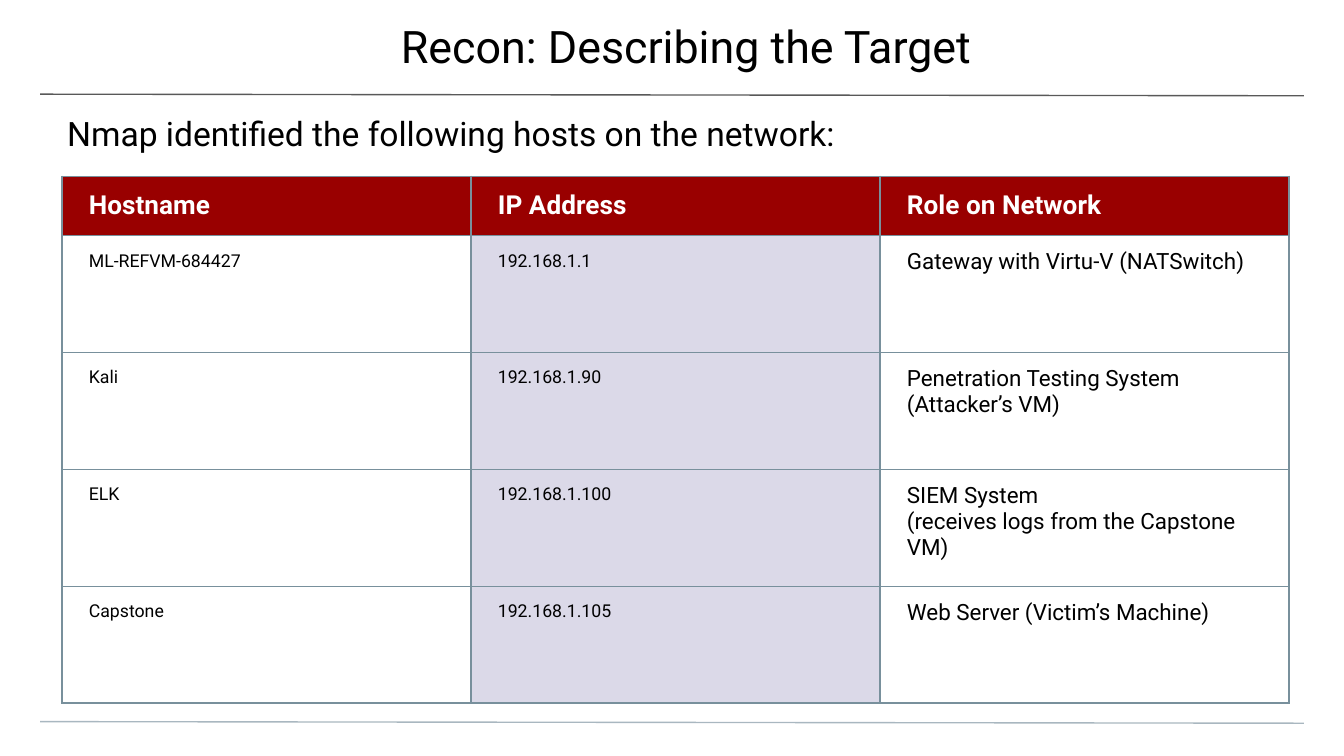
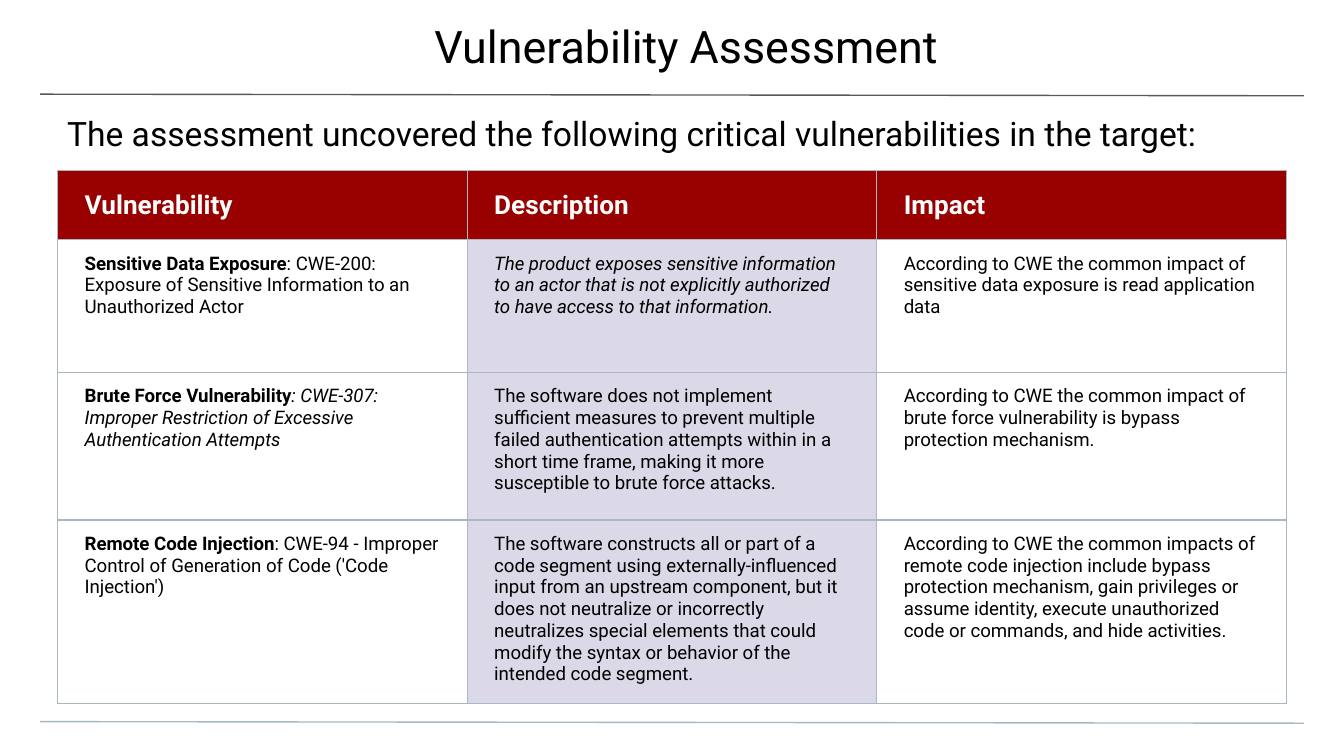
from pptx import Presentation
from pptx.dml.color import RGBColor
from pptx.enum.text import MSO_ANCHOR, PP_ALIGN
from pptx.oxml import parse_xml
from pptx.oxml.ns import nsdecls
from pptx.util import Cm, Pt

COLORS = {
    "text": "000000",
    "header_text": "FFFFFF",
    "header": "990000",
    "middle": "DBD9E8",
    "title_rule": "595959",
    "footer_rule": "A9B7C0",
    "host_border": "78909C",
    "vuln_border": "A9B7C0",
}
FONT = "Roboto"
RULES = [("title_rule", 1.78), ("footer_rule", 13.64)]

TEXT_BOXES = {
    "title": {
        "at": (-0.03, 0, 25.48, 1.47),
        "frame": {
            "margin_left": Cm(1.27), "margin_top": Cm(0.51),
            "margin_right": Cm(0.76), "margin_bottom": Cm(0.25),
            "vertical_anchor": MSO_ANCHOR.MIDDLE,
        },
        "size": 24,
        "para": {"alignment": PP_ALIGN.CENTER},
    },
    "subtitle": {
        "at": (0, 1.88, 25.4, 1.02),
        "frame": {
            "margin_left": Cm(1.27), "margin_top": Cm(0.25),
            "margin_right": Cm(1.27), "margin_bottom": Cm(0),
            "vertical_anchor": MSO_ANCHOR.TOP,
        },
        "size": 18,
        "para": {},
    },
}
CELL_MARGINS = {
    "margin_left": Cm(0.51), "margin_right": Cm(0.51),
    "margin_top": Cm(0.25), "margin_bottom": Cm(0.25),
}

HOST_STYLE = (9.5, {"line_spacing": 1.1})
SLIDES = [
    {
        "title": "Recon: Describing the Target",
        "subtitle": "Nmap identified the following hosts on the network:",
        "at": (1.17, 3.33),
        "col_width": 7.73,
        "row_heights": [1.12] + [2.21] * 4,
        "border": "host_border",
        "columns": [
            (9.5, {"line_spacing": 1.1, "space_after": Pt(10)}),
            (9.5, {"line_spacing": 1.1}),
            (12, {}),
        ],
        "header": ["Hostname", "IP Address", "Role on Network"],
        "rows": [
            ["ML-REFVM-684427", "192.168.1.1", "Gateway with Virtu-V (NATSwitch)"],
            ["Kali", "192.168.1.90", "Penetration Testing System\n(Attacker’s VM)"],
            ["ELK", "192.168.1.100",
             "SIEM System\n(receives logs from the Capstone VM)"],
            ["Capstone", "192.168.1.105", "Web Server (Victim’s Machine)"],
        ],
    },
    {
        "title": "Vulnerability Assessment",
        "subtitle": "The assessment uncovered the following critical "
                    "vulnerabilities in the target:",
        "at": (1.09, 3.23),
        "col_width": 7.74,
        "row_heights": [1.3, 2.51, 2.79, 3.23],
        "border": "vuln_border",
        "columns": [(10, {})] * 3,
        "header": ["Vulnerability", "Description", "Impact"],
        "rows": [
            [
                [("Sensitive Data Exposure", "b"),
                 (": CWE-200: Exposure of Sensitive Information to an "
                  "Unauthorized Actor", "")],
                [("The product exposes sensitive information to an actor that is "
                  "not explicitly authorized to have access to that "
                  "information.", "i")],
                "According to CWE the common impact of sensitive data exposure is "
                "read application data",
            ],
            [
                [("Brute Force Vulnerability", "b"),
                 (": CWE-307: Improper Restriction of Excessive Authentication "
                  "Attempts", "i")],
                "The software does not implement sufficient measures to prevent "
                "multiple failed authentication attempts within in a short time "
                "frame, making it more susceptible to brute force attacks.",
                "According to CWE the common impact of brute force vulnerability "
                "is bypass protection mechanism.",
            ],
            [
                [("Remote Code Injection", "b"),
                 (": CWE-94 - Improper Control of Generation of Code ('Code "
                  "Injection')", "")],
                "The software constructs all or part of a code segment using "
                "externally-influenced input from an upstream component, but it "
                "does not neutralize or incorrectly neutralizes special elements "
                "that could modify the syntax or behavior of the intended code "
                "segment.",
                "According to CWE the common impacts of remote code injection "
                "include bypass protection mechanism, gain privileges or assume "
                "identity, execute unauthorized code or commands, and hide "
                "activities.",
            ],
        ],
    },
]


def write(tf, content, size, color, para):
    if isinstance(content, str):
        paragraphs = [[(line, "")] for line in content.split("\n")]
    else:
        paragraphs = [content]
    for i, runs in enumerate(paragraphs):
        p = tf.add_paragraph() if i else tf.paragraphs[0]
        for name, value in para.items():
            setattr(p, name, value)
        for text, style in runs:
            r = p.add_run()
            r.text = text
            r.font.color.rgb = RGBColor.from_string(COLORS[color])
            font = {"name": FONT, "size": Pt(size),
                    "bold": style == "b", "italic": style == "i"}
            for name, value in font.items():
                setattr(r.font, name, value)


def add_borders(cell, color):
    tcPr = cell._tc.get_or_add_tcPr()
    for i, side in enumerate(("lnL", "lnR", "lnT", "lnB")):
        tcPr.insert(i, parse_xml(
            f'<a:{side} {nsdecls("a")} w="9525"><a:solidFill>'
            f'<a:srgbClr val="{COLORS[color]}"/></a:solidFill></a:{side}>'))


prs = Presentation()
prs.slide_width, prs.slide_height = Cm(25.4), Cm(14.29)

for data in SLIDES:
    s = prs.slides.add_slide(prs.slide_layouts[6])

    for color, y in RULES:
        line = s.shapes.add_connector(1, Cm(0.76), Cm(y), Cm(24.64), Cm(y + 0.03))
        line.line.color.rgb = RGBColor.from_string(COLORS[color])
        line.line.width = Pt(0.75)
        line._element.spPr.append(parse_xml(f'<a:effectLst {nsdecls("a")}/>'))

    for key, box in TEXT_BOXES.items():
        tf = s.shapes.add_textbox(*map(Cm, box["at"])).text_frame
        tf.word_wrap = True
        for name, value in box["frame"].items():
            setattr(tf, name, value)
        write(tf, data[key], box["size"], "text", box["para"])

    rows = [data["header"]] + data["rows"]
    left, top = data["at"]
    table = s.shapes.add_table(
        len(rows), 3, Cm(left), Cm(top),
        Cm(3 * data["col_width"]), Cm(sum(data["row_heights"]))).table
    table.first_row = table.horz_banding = False
    for col in table.columns:
        col.width = Cm(data["col_width"])

    for i, row in enumerate(rows):
        table.rows[i].height = Cm(data["row_heights"][i])
        for j, content in enumerate(row):
            cell = table.cell(i, j)
            for name, value in CELL_MARGINS.items():
                setattr(cell, name, value)
            fill = "header" if i == 0 else "middle" if j == 1 else None
            if fill:
                cell.fill.solid()
                cell.fill.fore_color.rgb = RGBColor.from_string(COLORS[fill])
            else:
                cell.fill.background()
            if i == 0:
                cell.vertical_anchor = MSO_ANCHOR.MIDDLE
                write(cell.text_frame, [(content, "b")], 14, "header_text", {})
            else:
                size, para = data["columns"][j]
                write(cell.text_frame, content, size, "text", para)
            add_borders(cell, data["border"])

prs.save("out.pptx")
